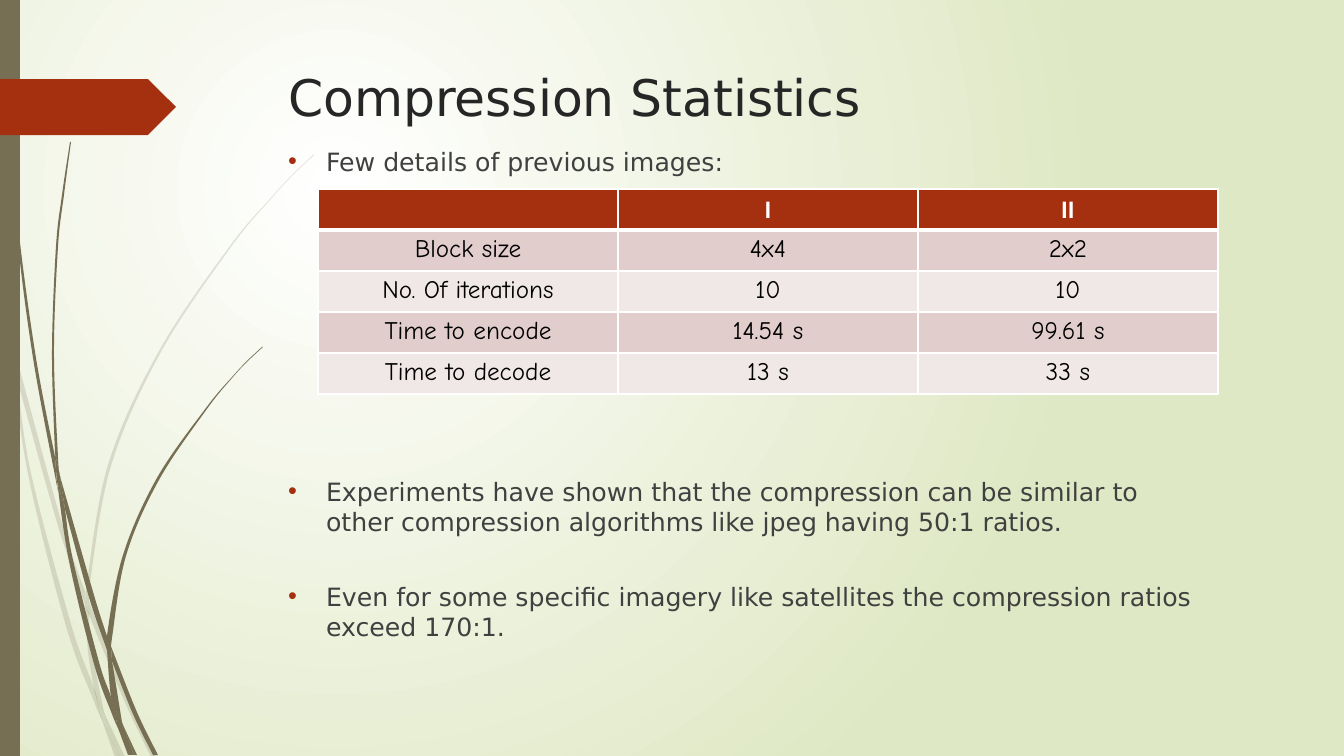
from lxml.etree import SubElement
from pptx import Presentation
from pptx.dml.color import RGBColor
from pptx.enum.shapes import MSO_SHAPE as SHAPE
from pptx.enum.text import MSO_ANCHOR as ANCHOR, MSO_AUTO_SIZE as AUTO, PP_ALIGN as ALIGN
from pptx.oxml import parse_xml
from pptx.oxml.ns import nsdecls, qn
from pptx.util import Pt

# Content
TITLE = "Compression Statistics"
BULLETS = [  # text, space before in px
    ("Few details of previous images:", 0),
    ("Experiments have shown that the compression can be similar to "
     "other compression algorithms like jpeg having 50:1 ratios.", 300),
    ("Even for some specific imagery like satellites the compression ratios "
     "exceed 170:1.", 45),
]
STATS = [
    ("", "I", "II"),
    ("Block size", "4x4", "2x2"),
    ("No. Of iterations", "10", "10"),
    ("Time to encode", "14.54 s", "99.61 s"),
    ("Time to decode", "13 s", "33 s"),
]

# Grass blades: one edge, then the other edge on the way back, in px
PALE_BLADES = [
    ([(0, 284), (9, 325), (11, 353)], [(10, 347), (0, 301)]),
    ([(17, 379), (58, 526), (85, 604)], [(85, 591), (62, 524), (14, 348)]),
    ([(89, 601), (93, 612), (128, 698), (156, 757)], [(151, 757), (124, 700), (89, 615)]),
    ([(106, 717), (120, 757)], [(125, 757)]),
    ([(11, 353), (28, 474), (66, 626), (93, 699), (102, 720)],
     [(100, 713), (94, 688), (71, 624), (31, 473), (17, 379)]),
    ([(85, 604), (88, 651), (94, 688), (97, 698), (106, 717)],
     [(104, 712), (92, 651), (89, 615), (89, 613)]),
    ([(89, 589), (111, 466), (161, 352), (231, 247), (270, 200), (292, 176), (314, 155)],
     [(314, 154), (291, 176), (270, 199), (230, 246), (159, 351), (108, 465), (86, 589),
      (86, 591), (89, 601)]),
    ([(102, 720), (115, 757)], [(120, 757)]),
    ([(89, 601), (89, 615)], [(85, 604), (86, 591)]),
    ([(94, 688), (100, 713), (102, 720), (120, 757)], [(106, 717), (97, 698)]),
]
DARK_BLADES = [
    ([(3, 0), (4, 48), (7, 111), (17, 235), (33, 358), (56, 481), (57, 485)],
     [(55, 457), (36, 358), (19, 234), (8, 110), (5, 48), (4, 0)]),
    ([(65, 509), (89, 597), (107, 650)], [(107, 638), (107, 636), (94, 595), (60, 476)]),
    ([(111, 646), (114, 654), (137, 712), (158, 755)], [(153, 755), (133, 714), (112, 661)]),
    ([(57, 481), (69, 561), (94, 664), (112, 714), (118, 728)],
     [(117, 723), (111, 697), (99, 662), (73, 560), (65, 509)]),
    ([(71, 142), (64, 195), (58, 247), (54, 352), (58, 457), (60, 476)],
     [(55, 453), (52, 352), (56, 247), (62, 195), (70, 142)]),
    ([(123, 725), (134, 755)], [(137, 755)]),
    ([(55, 453), (60, 476), (65, 509)], [(57, 481), (55, 457)]),
    ([(112, 638), (126, 556), (159, 480), (207, 409), (233, 377), (247, 362), (263, 347)],
     [(262, 347), (247, 361), (233, 376), (206, 408), (157, 478), (123, 555), (107, 636),
      (111, 646)]),
    ([(118, 728), (128, 755)], [(132, 755)]),
    ([(107, 650), (111, 697), (117, 712), (123, 725)], [(122, 722), (112, 661), (110, 656)]),
    ([(107, 636), (107, 650), (110, 656), (112, 661)], [(111, 646)]),
    ([(111, 697), (117, 723), (118, 728), (131, 755)], [(134, 755), (123, 725), (117, 712)]),
]

# Look
FONT, HEAD_FONT, CELL_FONT = "DejaVu Sans", "Calibri", "Comic Neue"
OLIVE, RUST, WHITE, GREEN = "766F54", "A53010", "FFFFFF", "DFE8C4"
BANDS = ("E1CDCC", "F0E8E7")
W, H = 1344, 756
TEXT_X = 278
TABLE_X, TABLE_Y, COL_W, ROW_H = 318, 189, 300, 41


def px(n):
    return round(n * 914400 / 100.8)


def rgb(color):
    return RGBColor.from_string(color)


def paint(sp, color):
    sp.shadow.inherit = False
    sp.fill.solid()
    sp.fill.fore_color.rgb = rgb(color)
    sp.line.fill.background()


def style(p, font, size, color, bold=False):
    for r in p.runs:
        r.font.name, r.font.size, r.font.bold = font, Pt(size), bold
        r.font.color.rgb = rgb(color)


def round_edge(edge, lines, left, top):
    """Turn the straight steps along one edge into smooth curves."""
    ends = [edge[0], *edge, edge[-1]]
    for a, b, c, d, line in zip(ends, ends[1:], ends[2:], ends[3:], lines):
        controls = [[q + (r - p) / 6 for p, q, r in zip(a, b, c)],
                    [r - (s - q) / 6 for q, r, s in zip(b, c, d)], c]
        curve = parse_xml(f'<a:cubicBezTo {nsdecls("a")}/>')
        for x, y in controls:
            SubElement(curve, qn("a:pt"), x=str(px(x) - left), y=str(px(y) - top))
        line.getparent().replace(line, curve)


def add_blade(s, edge, back, alpha):
    outline = [(px(x), px(y)) for x, y in edge + back]
    builder = s.shapes.build_freeform(*outline[0], scale=1.0)
    builder.add_line_segments(outline[1:])
    sp = builder.convert_to_shape()
    lines = list(sp.element.iter(qn("a:lnTo")))
    round_edge(edge, lines, sp.left, sp.top)
    round_edge(back, lines[len(edge):], sp.left, sp.top)
    paint(sp, OLIVE)
    if alpha < 100:
        clr = sp.element.spPr.find(".//" + qn("a:srgbClr"))
        SubElement(clr, qn("a:alpha"), val=str(alpha * 1000))


def add_bullet(p):
    pPr = p._p.get_or_add_pPr()
    pPr.set("marL", str(px(38)))
    pPr.set("indent", str(-px(38)))
    clr = SubElement(pPr, qn("a:buClr"))
    SubElement(clr, qn("a:srgbClr"), val=RUST)
    SubElement(pPr, qn("a:buFont"), typeface="Arial")
    SubElement(pPr, qn("a:buChar"), char="•")


def set_borders(cell, bottom):
    tcPr = cell._tc.get_or_add_tcPr()
    for i, side in enumerate("LRTB"):
        width = Pt(bottom if side == "B" else 1)
        tcPr.insert(i, parse_xml(
            f'<a:ln{side} {nsdecls("a")} w="{width}"><a:solidFill>'
            f'<a:srgbClr val="{WHITE}"/></a:solidFill></a:ln{side}>'))


prs = Presentation()
prs.slide_width, prs.slide_height = px(W), px(H)
s = prs.slides.add_slide(prs.slide_layouts[1])

# Background: round gradient
fill = s.background.fill
fill.gradient()
for stop, color, pos in zip(fill.gradient_stops, (WHITE, GREEN), (0, 1)):
    stop.color.rgb, stop.position = rgb(color), pos
lin = s.element.find(".//" + qn("a:lin"))
lin.getparent().replace(lin, parse_xml(
    f'<a:path {nsdecls("a")} path="circle">'
    '<a:fillToRect l="50000" t="50000" r="100000" b="100000"/></a:path>'))

# Grass, side strip and arrow tag
for blades, alpha in ((PALE_BLADES, 20), (DARK_BLADES, 100)):
    for edge, back in blades:
        add_blade(s, edge, back, alpha)
strip = s.shapes.add_shape(SHAPE.RECTANGLE, 0, 0, px(20), px(H))
paint(strip, OLIVE)
tag = s.shapes.add_shape(SHAPE.PENTAGON, 0, px(79), px(176), px(56))
paint(tag, RUST)

# Title and bullets, in front of the decoration
title, body = s.shapes.title, s.placeholders[1]
for sp, top, width, height in ((title, 0, 983, 141), (body, 141, 1066, 572)):
    sp.element.getparent().append(sp.element)
    sp.left, sp.top, sp.width, sp.height = px(TEXT_X), px(top), px(width), px(height)
    sp.text_frame.word_wrap, sp.text_frame.auto_size = True, AUTO.NONE

tf = title.text_frame
tf.text = TITLE
tf.vertical_anchor, tf.margin_bottom = ANCHOR.BOTTOM, px(14)
tf.paragraphs[0].alignment = ALIGN.LEFT
style(tf.paragraphs[0], FONT, 36, "262626")

tf = body.text_frame
tf.vertical_anchor, tf.margin_right = ANCHOR.TOP, px(144)
for i, (text, gap) in enumerate(BULLETS):
    p = tf.add_paragraph() if i else tf.paragraphs[0]
    p.text = text
    p.space_before = Pt(round(px(gap) / Pt(1)))
    style(p, FONT, 18, "404040")
    add_bullet(p)

# Statistics table
rows, cols = len(STATS), len(STATS[0])
table = s.shapes.add_table(rows, cols, px(TABLE_X), px(TABLE_Y),
                           px(cols * COL_W), px(rows * ROW_H)).table
for col in table.columns:
    col.width = px(COL_W)
for i, row in enumerate(STATS):
    table.rows[i].height = px(ROW_H)
    for j, text in enumerate(row):
        cell = table.cell(i, j)
        cell.text = text
        p = cell.text_frame.paragraphs[0]
        p.alignment = ALIGN.CENTER
        if i == 0:
            style(p, HEAD_FONT, 18, WHITE, bold=True)
        else:
            style(p, CELL_FONT, 18, "000000")
        cell.fill.solid()
        cell.fill.fore_color.rgb = rgb(BANDS[(i - 1) % 2] if i else RUST)
        set_borders(cell, bottom=1 if i else 3)

prs.save("out.pptx")
